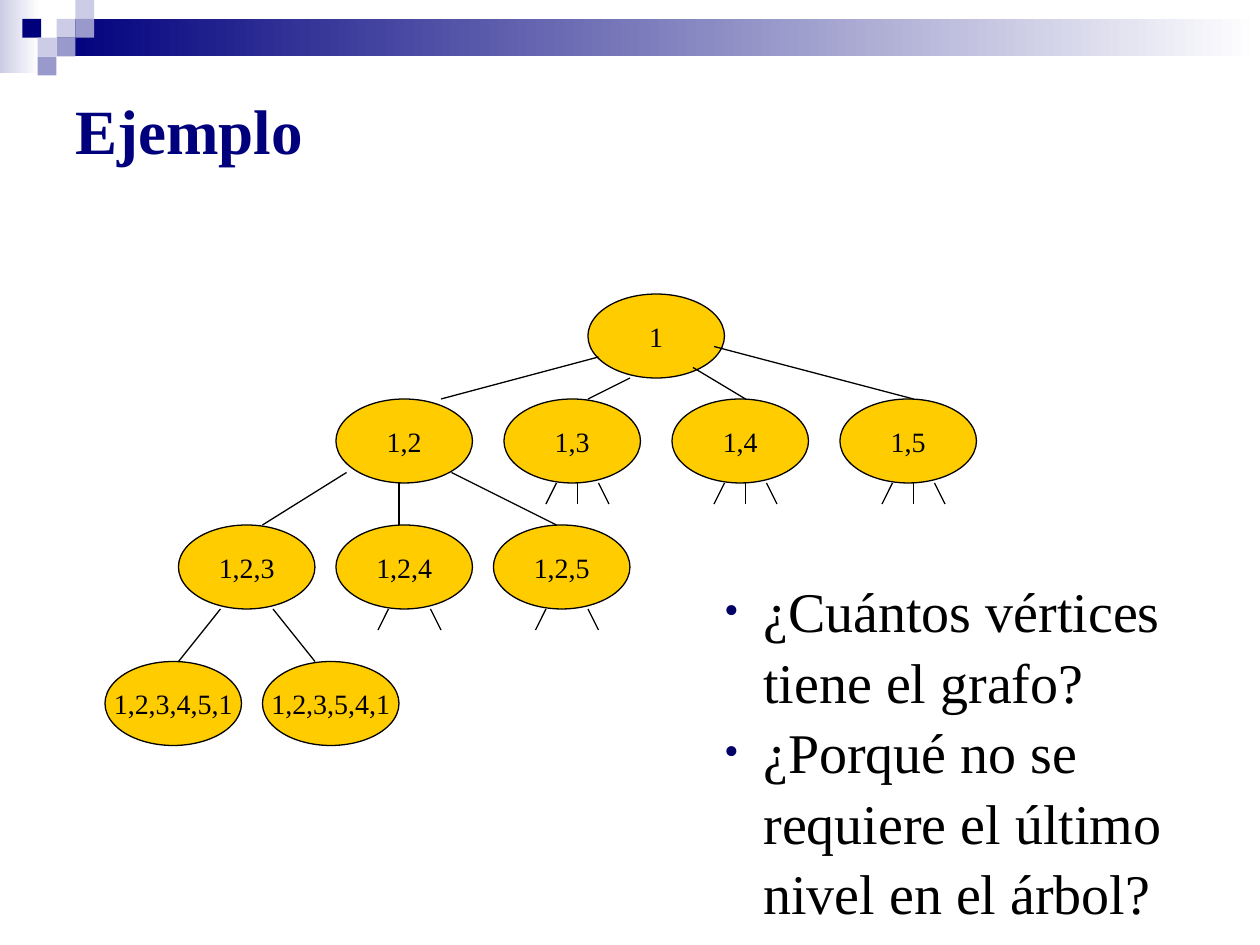
from lxml import etree
from pptx import Presentation
from pptx.dml.color import RGBColor
from pptx.enum.shapes import MSO_CONNECTOR, MSO_SHAPE
from pptx.enum.text import MSO_ANCHOR, PP_ALIGN
from pptx.oxml.ns import qn
from pptx.util import Cm, Pt

RECTANGLE = MSO_SHAPE.RECTANGLE
OVAL = MSO_SHAPE.OVAL
STRAIGHT = MSO_CONNECTOR.STRAIGHT
MIDDLE = MSO_ANCHOR.MIDDLE
CENTER = PP_ALIGN.CENTER

COLORS = {
    "navy": "00007D",
    "bullet": "000066",
    "lavender": "CCCCE6",
    "violet": "9999CC",
    "white": "FFFFFF",
    "yellow": "FFCC00",
    "black": "000000",
}
FONT = "Times New Roman"
SQUARE = 0.38
UNIT = 2.54 / 12
NODE_WIDTH, NODE_HEIGHT = 13, 8

SQUARES = [
    (1.19, 1, "navy"),
    (3, 1, "lavender"),
    (4, 0, "lavender"),
    (4, 1, "violet"),
    (2, 2, "lavender"),
    (3, 2, "violet"),
    (2, 3, "violet"),
]
NODES = [
    ("1", 46, 0),
    ("1,2", 22, 10),
    ("1,3", 38, 10),
    ("1,4", 54, 10),
    ("1,5", 70, 10),
    ("1,2,3", 7, 22),
    ("1,2,4", 22, 22),
    ("1,2,5", 37, 22),
    ("1,2,3,4,5,1", 0, 35),
    ("1,2,3,5,4,1", 15, 35),
]
EDGES = [
    (47, 6, 32, 10),
    (50, 8, 46, 10),
    (56, 7, 61, 10),
    (58, 5, 77, 10),
    (23, 17, 15, 22),
    (28, 18, 28, 22),
    (33, 17, 43, 22),
    (11, 30, 7, 35),
    (16, 30, 20, 35),
]
OUTER_STUBS = [(5, 4), (9, 10)]
ALL_STUBS = OUTER_STUBS + [(7, 7)]
STUBS = {
    "1,3": ALL_STUBS,
    "1,4": ALL_STUBS,
    "1,5": ALL_STUBS,
    "1,2,4": OUTER_STUBS,
    "1,2,5": OUTER_STUBS,
}
QUESTIONS = [
    "¿Cuántos vértices tiene el grafo?",
    "¿Porqué no se requiere el último nivel en el árbol?",
]


def color(name):
    """Return the named palette colour."""
    return RGBColor.from_string(COLORS[name])


def style_paragraph(paragraph, size, color_name, bold=False):
    """Set the font of a paragraph."""
    font = paragraph.font
    font.name, font.size, font.bold = FONT, Pt(size), bold
    font.color.rgb = color(color_name)


def add_block(slide, left, top, width, height, start, end=None):
    """Add a borderless rectangle, solid or fading to the end colour."""
    shape = slide.shapes.add_shape(RECTANGLE, Cm(left), Cm(top), Cm(width), Cm(height))
    shape.shadow.inherit = False
    shape.line.fill.background()
    if end is None:
        shape.fill.solid()
        shape.fill.fore_color.rgb = color(start)
        return
    shape.fill.gradient()
    shape.fill.gradient_angle = 0
    for stop, name in zip(shape.fill.gradient_stops, (start, end)):
        stop.color.rgb = color(name)


def add_header(slide, left, top, width):
    """Draw the fading band and its mosaic of squares."""
    band_left = 3 * SQUARE
    add_block(slide, left, top, 0.79, 1.47, "lavender", "white")
    add_block(slide, left + band_left, top + SQUARE, width - band_left, 2 * SQUARE, "navy", "white")
    for column, row, name in SQUARES:
        add_block(slide, left + column * SQUARE, top + row * SQUARE, SQUARE, SQUARE, name)


def add_title(slide, left, top, width, height):
    """Add the slide title."""
    frame = slide.shapes.add_textbox(Cm(left), Cm(top), Cm(width), Cm(height)).text_frame
    frame.word_wrap = True
    frame.vertical_anchor = MIDDLE
    paragraph = frame.paragraphs[0]
    paragraph.text = "Ejemplo"
    style_paragraph(paragraph, 36, "navy", bold=True)


def add_node(slide, left, top, label):
    """Add one labelled oval of the tree."""
    shape = slide.shapes.add_shape(
        OVAL, Cm(left), Cm(top), Cm(NODE_WIDTH * UNIT), Cm(NODE_HEIGHT * UNIT)
    )
    shape.shadow.inherit = False
    shape.fill.solid()
    shape.fill.fore_color.rgb = color("yellow")
    shape.line.color.rgb = color("black")
    shape.line.width = Pt(0.75)
    frame = shape.text_frame
    frame.word_wrap = False
    frame.vertical_anchor = MIDDLE
    paragraph = frame.paragraphs[0]
    paragraph.text = label
    paragraph.alignment = CENTER
    style_paragraph(paragraph, 16, "black")


def add_edge(slide, *ends):
    """Add a thin black line between two points."""
    connector = slide.shapes.add_connector(STRAIGHT, *(Cm(end) for end in ends))
    connector.line.color.rgb = color("black")
    connector.line.width = Pt(0.75)
    etree.SubElement(connector._element.spPr, qn("a:effectLst"))


def add_tree(slide, left, top):
    """Draw the search tree on a grid of units."""
    edges = list(EDGES)
    for label, column, row in NODES:
        add_node(slide, left + column * UNIT, top + row * UNIT, label)
        bottom = row + NODE_HEIGHT
        for start, end in STUBS.get(label, []):
            edges.append((column + start, bottom, column + end, bottom + 2))
    for x1, y1, x2, y2 in edges:
        add_edge(slide, left + x1 * UNIT, top + y1 * UNIT, left + x2 * UNIT, top + y2 * UNIT)


def add_bullet(paragraph):
    """Give a paragraph a hanging round bullet."""
    properties = paragraph._p.get_or_add_pPr()
    properties.set("marL", str(Cm(0.79)))
    properties.set("indent", str(-Cm(0.79)))
    bullet_color = etree.SubElement(properties, qn("a:buClr"))
    etree.SubElement(bullet_color, qn("a:srgbClr"), val=COLORS["bullet"])
    etree.SubElement(properties, qn("a:buSzPct"), val="75000")
    etree.SubElement(properties, qn("a:buFont"), typeface=FONT)
    etree.SubElement(properties, qn("a:buChar"), char="•")


def add_questions(slide, left, top, width, height):
    """Add the bulleted questions."""
    frame = slide.shapes.add_textbox(Cm(left), Cm(top), Cm(width), Cm(height)).text_frame
    frame.word_wrap = True
    for index, question in enumerate(QUESTIONS):
        paragraph = frame.add_paragraph() if index else frame.paragraphs[0]
        paragraph.text = question
        paragraph.line_spacing = 1.05
        add_bullet(paragraph)
        style_paragraph(paragraph, 32, "black")


def main():
    """Build and save the slide."""
    presentation = Presentation()
    presentation.slide_width, presentation.slide_height = Cm(25.4), Cm(19.05)
    slide = presentation.slides.add_slide(presentation.slide_layouts[6])
    add_header(slide, 0, 0, 25.4)
    add_title(slide, 1.27, 1.27, 23.62, 2.67)
    add_tree(slide, 10 * UNIT, 28 * UNIT)
    add_questions(slide, 14.35, 11.43, 11.05, 7.04)
    presentation.save("out.pptx")


if __name__ == "__main__":
    main()
